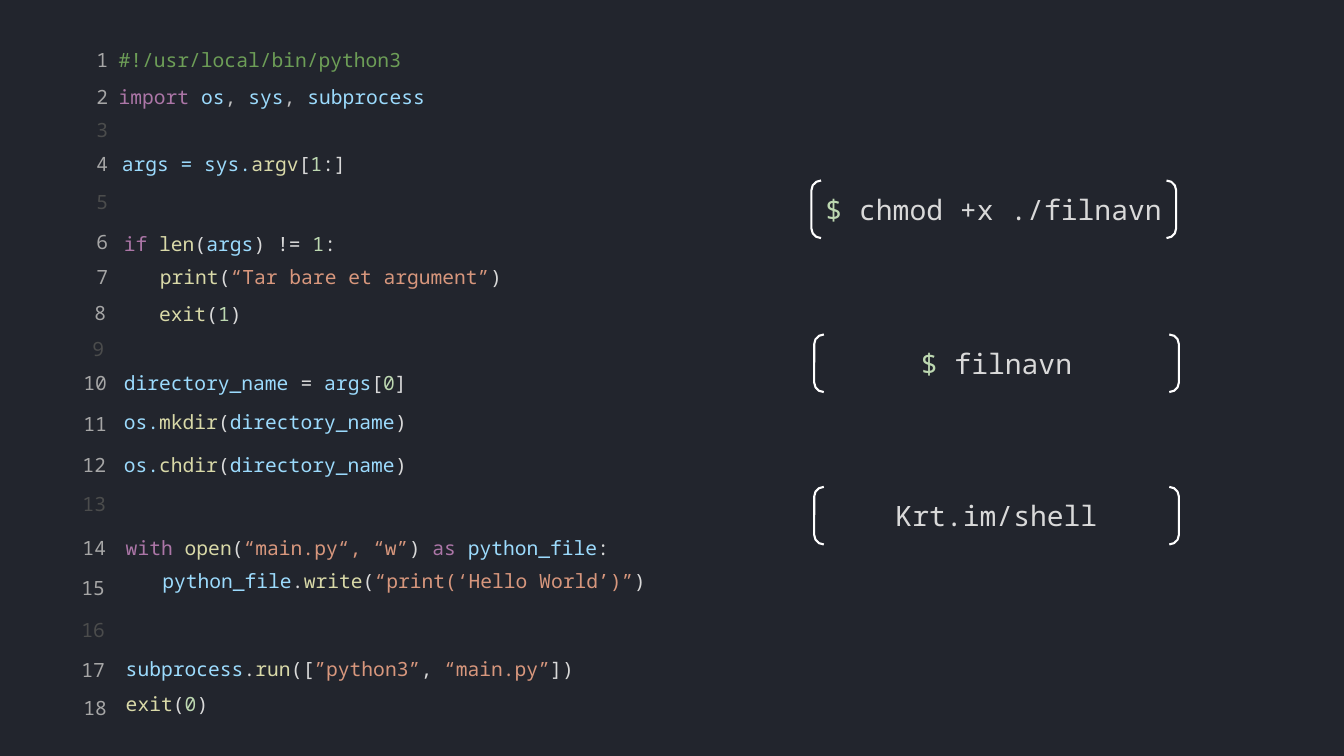
from pptx import Presentation
from pptx import util as u
from pptx.dml.color import RGBColor
from pptx.enum import shapes, text

COLOURS = {
    "background": "22252D", "number": "A6A6A6", "dim": "4B4C4C",
    "comment": "6D9E57", "keyword": "AC76A7", "name": "9CDBFD",
    "comma": "BFBFBF", "call": "D9D9A8", "plain": "D9D9D9",
    "digit": "BDD8B1", "string": "D8977D", "bracket": "FFFFFF",
}
FONT = "Noto Sans Mono"
LINE_HEIGHT = 0.86


def colour(key):
    return RGBColor.from_string(COLOURS[key])


def write(box, spans, size, frame_format, align):
    frame = box.text_frame
    for key, value in frame_format.items():
        setattr(frame, key, value)
    para = frame.paragraphs[0]
    para.alignment = align
    for key, words in spans:
        span = para.add_run()
        span.text = words
        for name, value in {"name": FONT, "size": u.Pt(size)}.items():
            setattr(span.font, name, value)
        span.font.color.rgb = colour(key)


number_places = [
    (2.18, 1.09), (2.18, 2.01), (2.18, 2.84), (2.18, 3.71), (2.18, 4.67),
    (2.18, 5.66), (2.18, 6.55), (2.13, 7.47), (2.08, 8.36), (1.85, 9.22),
    (1.85, 10.26), (1.83, 11.3), (1.83, 12.27), (1.83, 13.39), (1.8, 14.4),
    (1.8, 15.44), (1.8, 16.46), (1.85, 17.4),
]

code_lines = {
    1: (2.74, 1.09, 9.91, [("comment", "#!/usr/local/bin/python3")]),
    2: (2.74, 2.01, 10.69, [
        ("keyword", "import "), ("name", "os"), ("comma", ", "),
        ("name", "sys"), ("comma", ", "), ("name", "subprocess")]),
    4: (2.82, 3.71, 7.95, [
        ("name", "args = sys."), ("call", "argv"), ("plain", "["),
        ("digit", "1"), ("plain", ":]")]),
    6: (2.87, 5.72, 7.57, [
        ("keyword", "if "), ("call", "len"), ("plain", "("), ("name", "args"),
        ("plain", ") != "), ("digit", "1"), ("plain", ":")]),
    7: (3.78, 6.55, 11.89, [
        ("call", "print"), ("plain", "("),
        ("string", "“Tar bare et argument”"), ("plain", ")")]),
    8: (3.76, 7.49, 3.25, [
        ("call", "exit"), ("plain", "("), ("digit", "1"), ("plain", ")")]),
    10: (2.87, 9.22, 9.91, [
        ("name", "directory_name "), ("plain", "= "), ("name", "args"),
        ("plain", "["), ("digit", "0"), ("plain", "]")]),
    11: (2.87, 10.21, 9.91, [
        ("name", "os."), ("call", "mkdir"), ("plain", "("),
        ("name", "directory_name"), ("plain", ")")]),
    12: (2.87, 11.28, 9.91, [
        ("name", "os."), ("call", "chdir"), ("plain", "("),
        ("name", "directory_name"), ("plain", ")")]),
    14: (2.92, 13.39, 16.59, [
        ("keyword", "with "), ("call", "open"), ("plain", "("),
        ("string", "“main.py“, “w”"), ("plain", ") "), ("keyword", "as "),
        ("name", "python_file"), ("plain", ":")]),
    15: (3.84, 14.2, 16.97, [
        ("name", "python_file"), ("plain", "."), ("call", "write"),
        ("plain", "("), ("string", "“print(‘Hello World’)”"), ("plain", ")")]),
    17: (2.92, 16.43, 15.39, [
        ("name", "subprocess"), ("plain", "."), ("call", "run"),
        ("plain", "(["), ("string", "”python3”"), ("plain", ","),
        ("string", " “main.py”"), ("plain", "])")]),
    18: (2.92, 17.32, 3.25, [
        ("call", "exit"), ("plain", "("), ("digit", "0"), ("plain", ")")]),
}

commands = [
    (20.45, 4.55, [("digit", "$ "), ("plain", "chmod +x ./filnavn")]),
    (20.52, 8.43, [("digit", "$ "), ("plain", "filnavn")]),
    (20.52, 12.27, [("plain", "Krt.im/shell")]),
]

deck = Presentation()
deck.slide_width, deck.slide_height = u.Cm(33.87), u.Cm(19.05)
page = deck.slides.add_slide(deck.slide_layouts[6])
page.background.fill.solid()
page.background.fill.fore_color.rgb = colour("background")

lines = []
for number, (left, top) in enumerate(number_places, 1):
    key = "number" if number in code_lines else "dim"
    lines.append((left, top, 1.65, [(key, str(number))]))
lines.extend(code_lines.values())

line_format = {"word_wrap": True, "auto_size": text.MSO_AUTO_SIZE.SHAPE_TO_FIT_TEXT}
for left, top, width, spans in lines:
    box = page.shapes.add_textbox(u.Cm(left), u.Cm(top), u.Cm(width), u.Cm(LINE_HEIGHT))
    write(box, spans, 14, line_format, text.PP_ALIGN.LEFT)

command_format = {"word_wrap": True, "vertical_anchor": text.MSO_ANCHOR.MIDDLE}
for left, top, spans in commands:
    box = page.shapes.add_shape(
        shapes.MSO_SHAPE.DOUBLE_BRACKET, u.Cm(left), u.Cm(top), u.Cm(9.19), u.Cm(1.45))
    box.shadow.inherit = False
    box.fill.background()
    box.line.color.rgb = colour("bracket")
    box.line.width = u.Pt(1.5)
    write(box, spans, 20, command_format, text.PP_ALIGN.CENTER)

deck.save("out.pptx")
